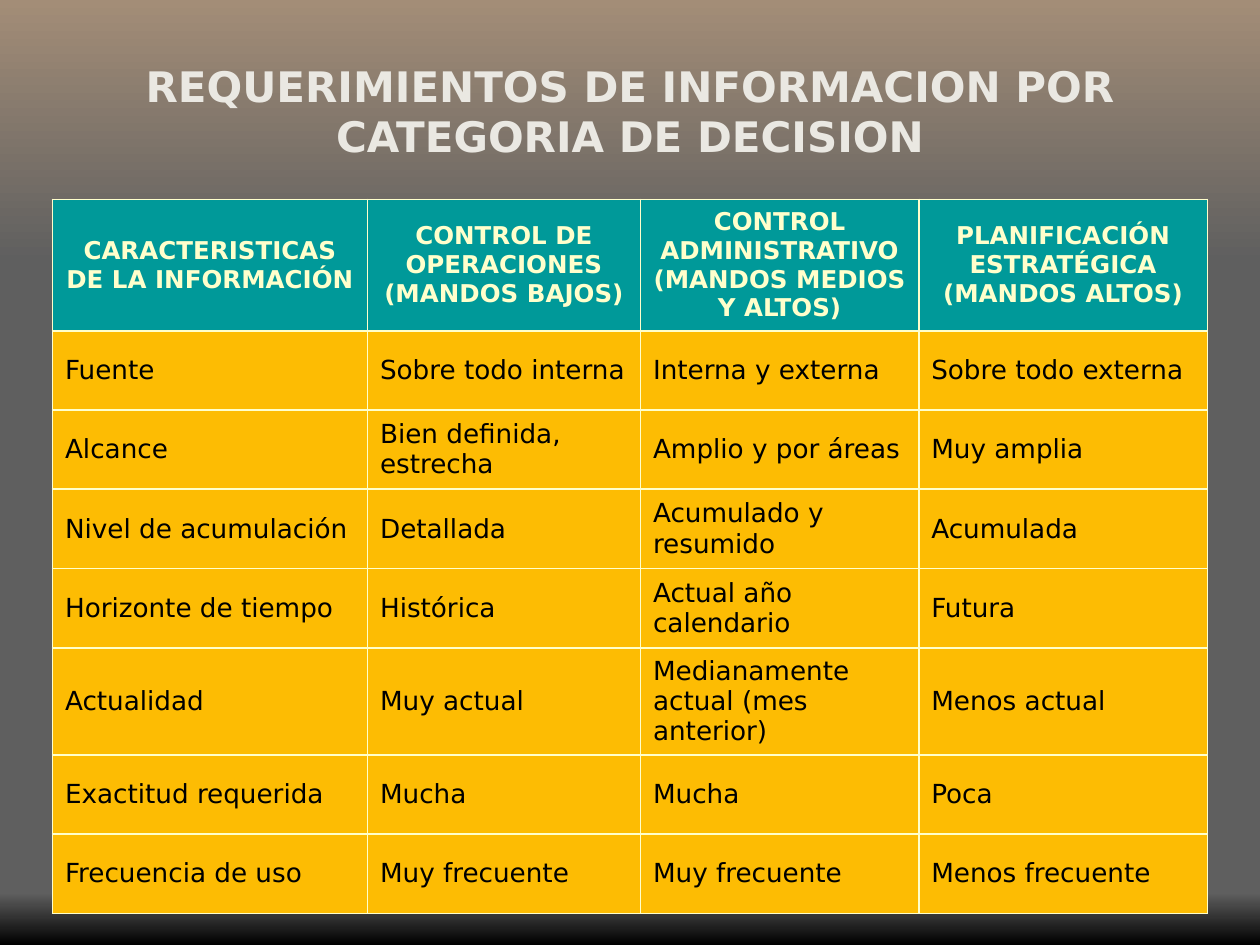
from typing import NamedTuple

from lxml import etree
from pptx import Presentation
from pptx import util as u
from pptx.dml.color import RGBColor
from pptx.enum import shapes, text
from pptx.oxml import ns

FONT = "DejaVu Sans"
GRAY = "5F5F5F"
CREAM = "FFFFCC"
BORDER_WIDTH = 1.08


class Band(NamedTuple):
    top: float
    height: float
    upper: str
    lower: str


class CellStyle(NamedTuple):
    fill: str
    color: str
    size: float
    bold: bool
    align: text.PP_ALIGN
    before: float


BANDS = [Band(0, 150, "A38D77", GRAY), Band(510, 30, GRAY, "000000")]
HEADING = CellStyle("009999", CREAM, 14, True, text.PP_ALIGN.CENTER, 3.5)
BODY = CellStyle("FDBC03", "000000", 15, False, text.PP_ALIGN.LEFT, 3.7)

COLUMN_WIDTHS = [180, 156, 159, 165]
ROW_HEIGHTS = [75] + [45.3] * 4 + [61.2] + [45.3] * 2
REQUIREMENTS = [
    ["CARACTERISTICAS DE LA INFORMACIÓN", "CONTROL DE OPERACIONES (MANDOS BAJOS)",
     "CONTROL ADMINISTRATIVO (MANDOS MEDIOS Y ALTOS)",
     "PLANIFICACIÓN ESTRATÉGICA (MANDOS ALTOS)"],
    ["Fuente", "Sobre todo interna", "Interna y externa", "Sobre todo externa"],
    ["Alcance", "Bien definida, estrecha", "Amplio y por áreas", "Muy amplia"],
    ["Nivel de acumulación", "Detallada", "Acumulado y resumido", "Acumulada"],
    ["Horizonte de tiempo", "Histórica", "Actual año calendario", "Futura"],
    ["Actualidad", "Muy actual", "Medianamente actual (mes anterior)", "Menos actual"],
    ["Exactitud requerida", "Mucha", "Mucha", "Poca"],
    ["Frecuencia de uso", "Muy frecuente", "Muy frecuente", "Menos frecuente"],
]


def rgb(value: str) -> RGBColor:
    return RGBColor.from_string(value)


def write(frame, words: str, *, size: float, color: str, bold: bool,
          align: text.PP_ALIGN, before: float) -> None:
    frame.word_wrap = True
    paragraph = frame.paragraphs[0]
    paragraph.alignment = align
    paragraph.space_before = u.Pt(before)
    run = paragraph.add_run()
    run.text = words
    run.font.name = FONT
    run.font.size = u.Pt(size)
    run.font.bold = bold
    run.font.color.rgb = rgb(color)


def draw_band(slide, band: Band, width: int) -> None:
    rectangle = slide.shapes.add_shape(
        shapes.MSO_SHAPE.RECTANGLE, 0, u.Pt(band.top), width, u.Pt(band.height))
    rectangle.shadow.inherit = False
    rectangle.line.fill.background()
    rectangle.fill.gradient()
    rectangle.fill.gradient_angle = 270
    for stop, color in zip(rectangle.fill.gradient_stops, (band.upper, band.lower)):
        stop.color.rgb = rgb(color)


def draw_title(slide) -> None:
    title = slide.shapes.title
    title.left, title.top, title.width, title.height = map(u.Pt, (48, 31, 624, 65))
    title.text_frame.vertical_anchor = text.MSO_ANCHOR.TOP
    title.text_frame.auto_size = text.MSO_AUTO_SIZE.NONE
    write(title.text_frame, "REQUERIMIENTOS DE INFORMACION POR CATEGORIA DE DECISION",
          size=24, color="EAE8E2", bold=True, align=text.PP_ALIGN.CENTER, before=15)
    # The title goes in front of the background bands.
    title.element.getparent().append(title.element)


def add_borders(cell) -> None:
    properties = cell._tc.get_or_add_tcPr()
    for side in ("a:lnL", "a:lnR", "a:lnT", "a:lnB"):
        line = etree.SubElement(properties, ns.qn(side), w=str(u.Pt(BORDER_WIDTH)))
        fill = etree.SubElement(line, ns.qn("a:solidFill"))
        etree.SubElement(fill, ns.qn("a:srgbClr"), val=CREAM)


def fill_cell(cell, words: str, style: CellStyle) -> None:
    add_borders(cell)
    cell.fill.solid()
    cell.fill.fore_color.rgb = rgb(style.fill)
    cell.vertical_anchor = text.MSO_ANCHOR.MIDDLE
    write(cell.text_frame, words, size=style.size, color=style.color,
          bold=style.bold, align=style.align, before=style.before)


def draw_requirements(slide) -> None:
    table = slide.shapes.add_table(
        len(ROW_HEIGHTS), len(COLUMN_WIDTHS), u.Pt(30), u.Pt(114),
        u.Pt(sum(COLUMN_WIDTHS)), u.Pt(sum(ROW_HEIGHTS))).table
    table.horz_banding = False
    for column, width in zip(table.columns, COLUMN_WIDTHS):
        column.width = u.Pt(width)
    for index, (row, height) in enumerate(zip(table.rows, ROW_HEIGHTS)):
        row.height = u.Pt(height)
        style = BODY if index else HEADING
        for cell, words in zip(row.cells, REQUIREMENTS[index]):
            fill_cell(cell, words, style)


def main() -> None:
    deck = Presentation()
    deck.slide_width, deck.slide_height = u.Pt(720), u.Pt(540)
    slide = deck.slides.add_slide(deck.slide_layouts.get_by_name("Title Only"))
    slide.background.fill.solid()
    slide.background.fill.fore_color.rgb = rgb(GRAY)
    for band in BANDS:
        draw_band(slide, band, deck.slide_width)
    draw_title(slide)
    draw_requirements(slide)
    deck.save("out.pptx")


if __name__ == "__main__":
    main()
